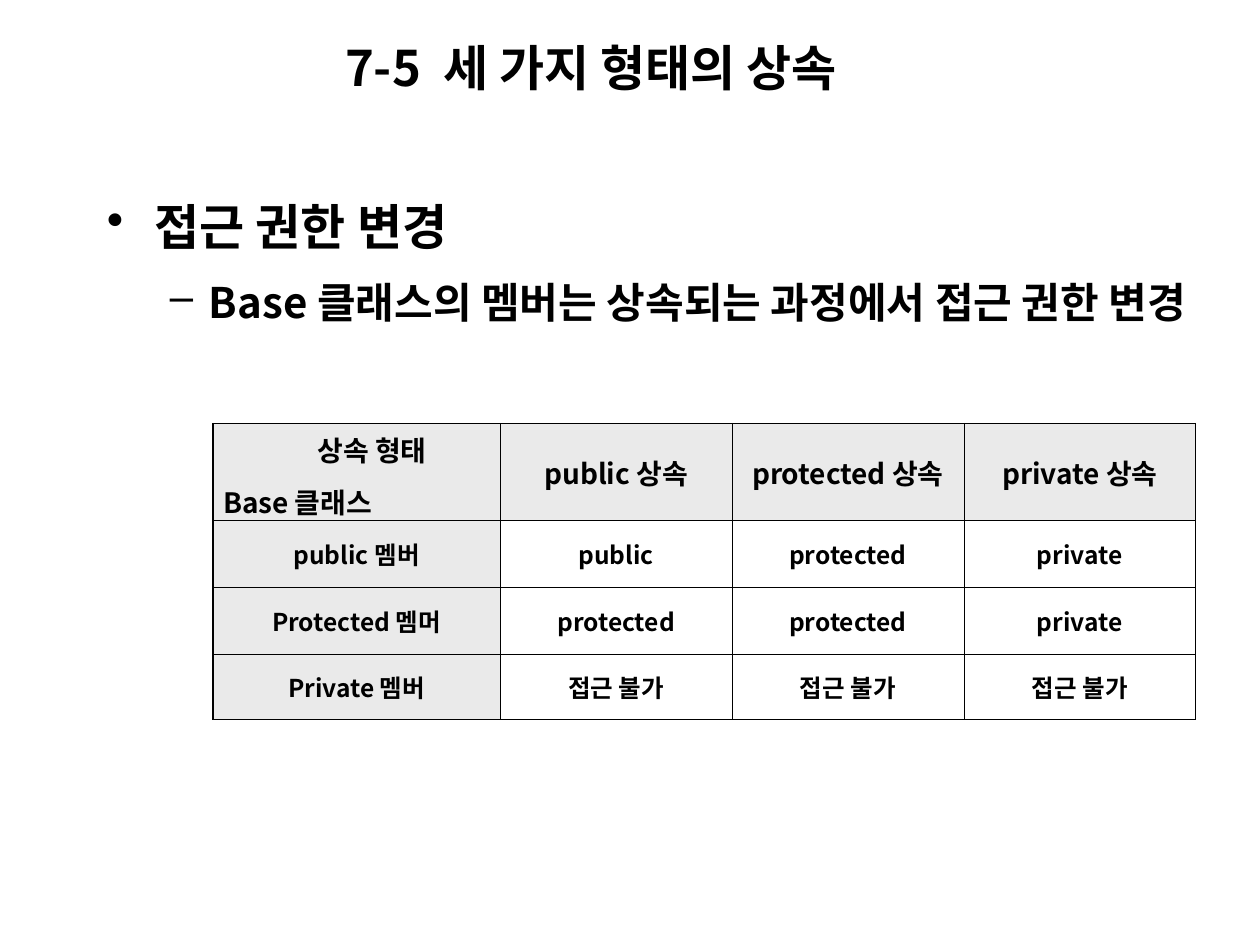
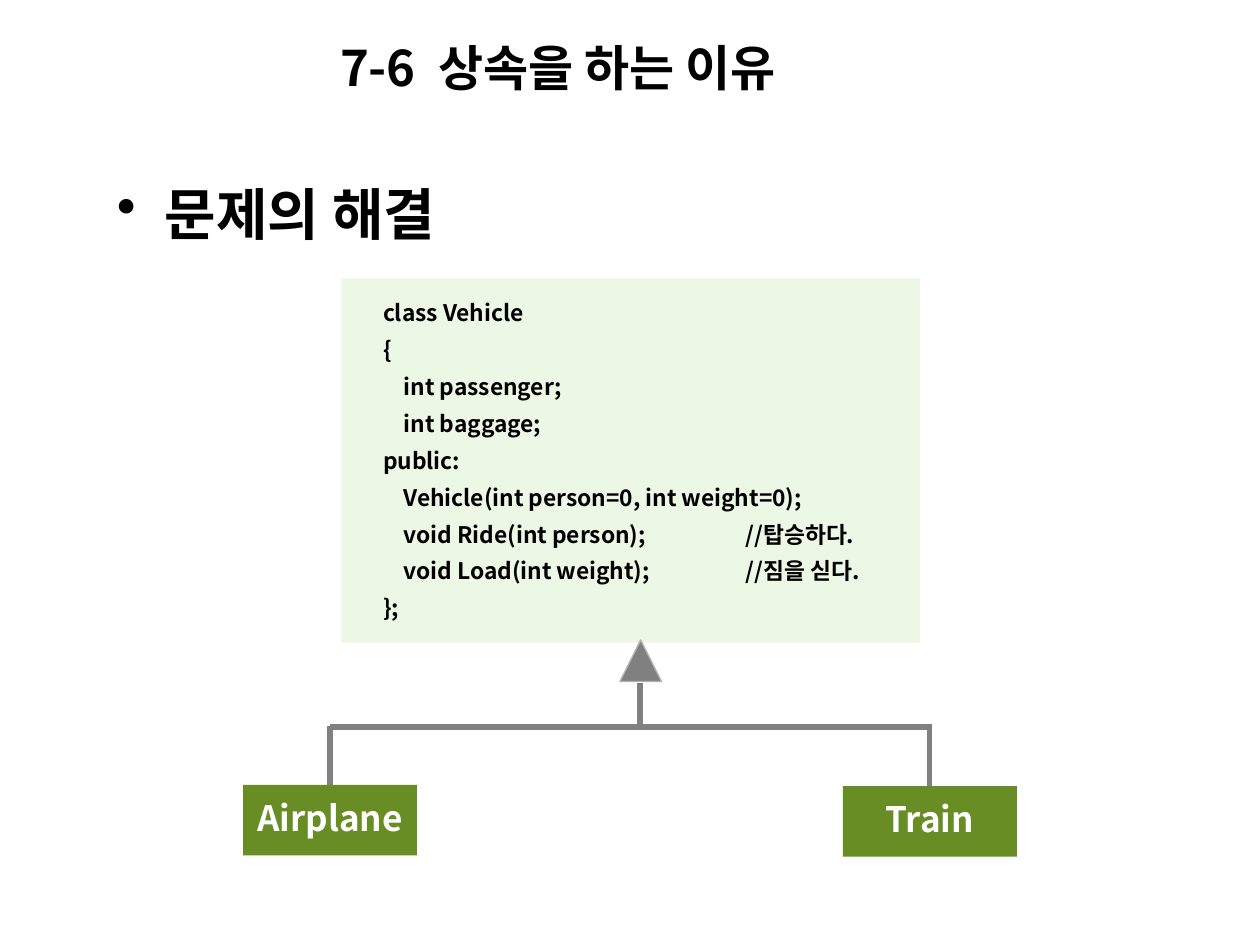
"""Build two slides on C++ inheritance: access changes and a class tree."""
from lxml import etree
from pptx import Presentation
from pptx.dml.color import RGBColor
from pptx.enum import shapes, text
from pptx.oxml import ns
from pptx.util import Inches, Pt

FONT = "Noto Sans CJK KR"
BLACK, WHITE, GRAY, HEAD = "000000", "FFFFFF", "808080", "EAEAEA"
PALE, GREEN, EDGE = "EDF7E5", "688D25", "B2B2B2"


def paint(fill, color):
    fill.solid()
    fill.fore_color.rgb = RGBColor.from_string(color)


def style(p, size, color=BLACK, spacing=None, before=None, align=None):
    p.line_spacing = spacing
    p.alignment = align
    if before:
        p.space_before = Pt(before)
    for r in p.runs:
        r.font.name, r.font.size, r.font.bold = FONT, Pt(size), True
        paint(r.font.fill, color)
        etree.SubElement(r.font._element, ns.qn("a:ea"), typeface=FONT)


prs = Presentation()
prs.slide_width, prs.slide_height = Inches(10), Inches(7.5)

pages = [
    ("7-5  세 가지 형태의 상속", 2.64, 4.72, (0.75, 1.42, 8.98, 1.7),
     [("접근 권한 변경", 28, "•", 0.38, 0.38),
      ("Base 클래스의 멤버는 상속되는 과정에서 접근 권한 변경", 24, "–", 0.81, 0.31)]),
    ("7-6  상속을 하는 이유", 2.6, 4.25, (0.83, 1.27, 3.11, 0.74),
     [("문제의 해결", 32, "•", 0.38, 0.38)]),
]
slides = []
for title, left, width, body, items in pages:
    s = prs.slides.add_slide(prs.slide_layouts[6])
    slides.append(s)
    tf = s.shapes.add_textbox(Inches(left), Inches(0.25), Inches(width), Inches(0.57)).text_frame
    tf.word_wrap = True
    tf.vertical_anchor = text.MSO_ANCHOR.MIDDLE
    tf.text = title
    style(tf.paragraphs[0], 28)

    tf = s.shapes.add_textbox(*map(Inches, body)).text_frame
    tf.word_wrap = True
    tf.text = "\n".join(item[0] for item in items)
    for i, (p, (_, size, bullet, margin, hang)) in enumerate(zip(tf.paragraphs, items)):
        p.level = i
        pPr = p._p.get_or_add_pPr()
        pPr.set("marL", str(Inches(margin)))
        pPr.set("indent", str(-Inches(hang)))
        clr = etree.SubElement(pPr, ns.qn("a:buClr"))
        etree.SubElement(clr, ns.qn("a:srgbClr"), val=BLACK)
        etree.SubElement(pPr, ns.qn("a:buChar"), char=bullet)
        style(p, size, spacing=1.2, before=6 * i)

rows = [
    ["상속 형태\nBase 클래스", "public 상속", "protected 상속", "private 상속"],
    ["public 멤버", "public", "protected", "private"],
    ["Protected 멤머", "protected", "protected", "private"],
    ["Private 멤버"] + ["접근 불가"] * 3,
]
widths = [2.28, 1.84, 1.84, 1.84]
heights = [0.77, 0.53, 0.53, 0.52]
table = slides[0].shapes.add_table(
    4, 4, Inches(1.69), Inches(3.36), Inches(7.8), Inches(2.35)).table
table.first_row = table.horz_banding = False
for i in range(4):
    table.columns[i].width = Inches(widths[i])
    table.rows[i].height = Inches(heights[i])
for y, row in enumerate(rows):
    for x, value in enumerate(row):
        cell = table.cell(y, x)
        cell.text = value
        cell.vertical_anchor = text.MSO_ANCHOR.MIDDLE
        cell.margin_left = cell.margin_right = Inches(0.08)
        for p in cell.text_frame.paragraphs:
            style(p, 14 if y else 16, align=text.PP_ALIGN.CENTER if x or y else None)
        tcPr = cell._tc.get_or_add_tcPr()
        for side, outer in (("L", x == 0), ("R", x == 3), ("T", y == 0), ("B", y == 3)):
            ln = etree.SubElement(tcPr, ns.qn("a:ln" + side), w=str(Pt(0.75 if outer else 0.45)))
            fill = etree.SubElement(ln, ns.qn("a:solidFill"))
            etree.SubElement(fill, ns.qn("a:srgbClr"), val=BLACK)
        if x and y:
            cell.fill.background()
        else:
            paint(cell.fill, HEAD)
top, bottom = table.cell(0, 0).text_frame.paragraphs
top._p.get_or_add_pPr().set("marL", str(Inches(0.75)))
bottom.line_spacing, bottom.space_before = 1.1, Pt(4)

code = """class Vehicle
{
    int passenger;
    int baggage;
public:
    Vehicle(int person=0, int weight=0);
    void Ride(int person);\t//탑승하다.
    void Load(int weight);\t//짐을 싣다.
};"""
s = slides[1]
sp = s.shapes.add_shape(shapes.MSO_SHAPE.RECTANGLE, Inches(2.71), Inches(2.21),
                        Inches(4.59), Inches(2.89))
sp.shadow.inherit = False
paint(sp.fill, PALE)
sp.line.fill.background()
tf = sp.text_frame
tf.word_wrap = True
tf.vertical_anchor = text.MSO_ANCHOR.MIDDLE
tf.margin_left, tf.margin_top, tf.margin_bottom = Inches(0.33), Inches(0.13), Inches(0.21)
tf.text = code
for p in tf.paragraphs:
    tabs = etree.SubElement(p._p.get_or_add_pPr(), ns.qn("a:tabLst"))
    etree.SubElement(tabs, ns.qn("a:tab"), pos=str(Inches(2.88)), algn="l")
    style(p, 13, spacing=1.35, align=text.PP_ALIGN.LEFT)

lines = [(2.62, 5.77, 7.4, 5.77, None), (5.08, 5.42, 5.08, 5.75, None)]
for name, left, y in (("Airplane", 1.93, 6.23), ("Train", 6.69, 6.24)):
    sp = s.shapes.add_shape(shapes.MSO_SHAPE.RECTANGLE, Inches(left), Inches(y),
                            Inches(1.38), Inches(0.56))
    sp.shadow.inherit = False
    paint(sp.fill, GREEN)
    sp.line.fill.background()
    tf = sp.text_frame
    tf.word_wrap = False
    tf.vertical_anchor = text.MSO_ANCHOR.MIDDLE
    tf.text = name
    style(tf.paragraphs[0], 20, WHITE, 0.9, align=text.PP_ALIGN.CENTER)
    mid = left + 0.69
    lines.append((mid, y, mid, 5.76, sp))

for x1, y1, x2, y2, box in lines:
    line = s.shapes.add_connector(shapes.MSO_CONNECTOR.STRAIGHT, Inches(x1), Inches(y1),
                                  Inches(x2), Inches(y2))
    if box:
        line.begin_connect(box, 0)
    line.line.width = Pt(3)
    paint(line.line.fill, GRAY)
    etree.SubElement(line._element.spPr, ns.qn("a:effectLst"))

sp = s.shapes.add_shape(shapes.MSO_SHAPE.ISOSCELES_TRIANGLE, Inches(4.92), Inches(5.08),
                        Inches(0.33), Inches(0.33))
sp.shadow.inherit = False
paint(sp.fill, GRAY)
paint(sp.line.fill, EDGE)
sp.line.width = Pt(0.75)

prs.save("out.pptx")
